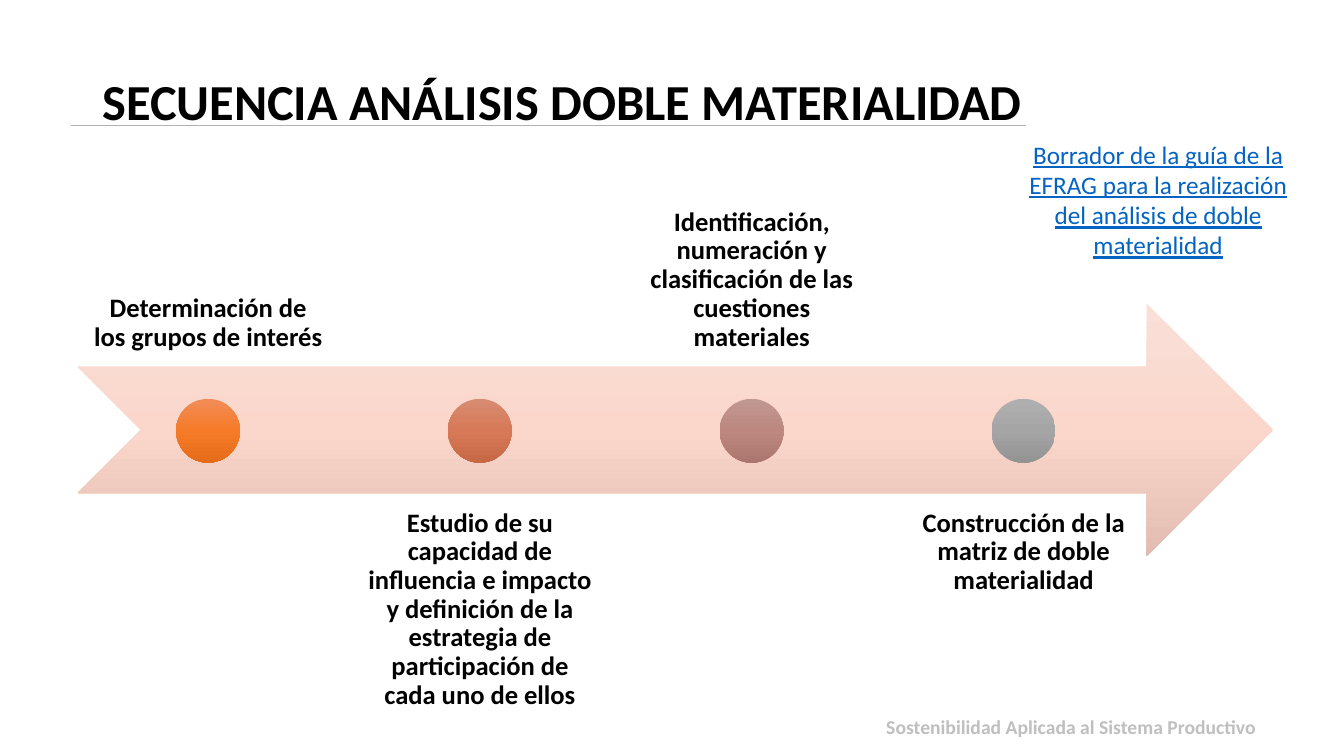
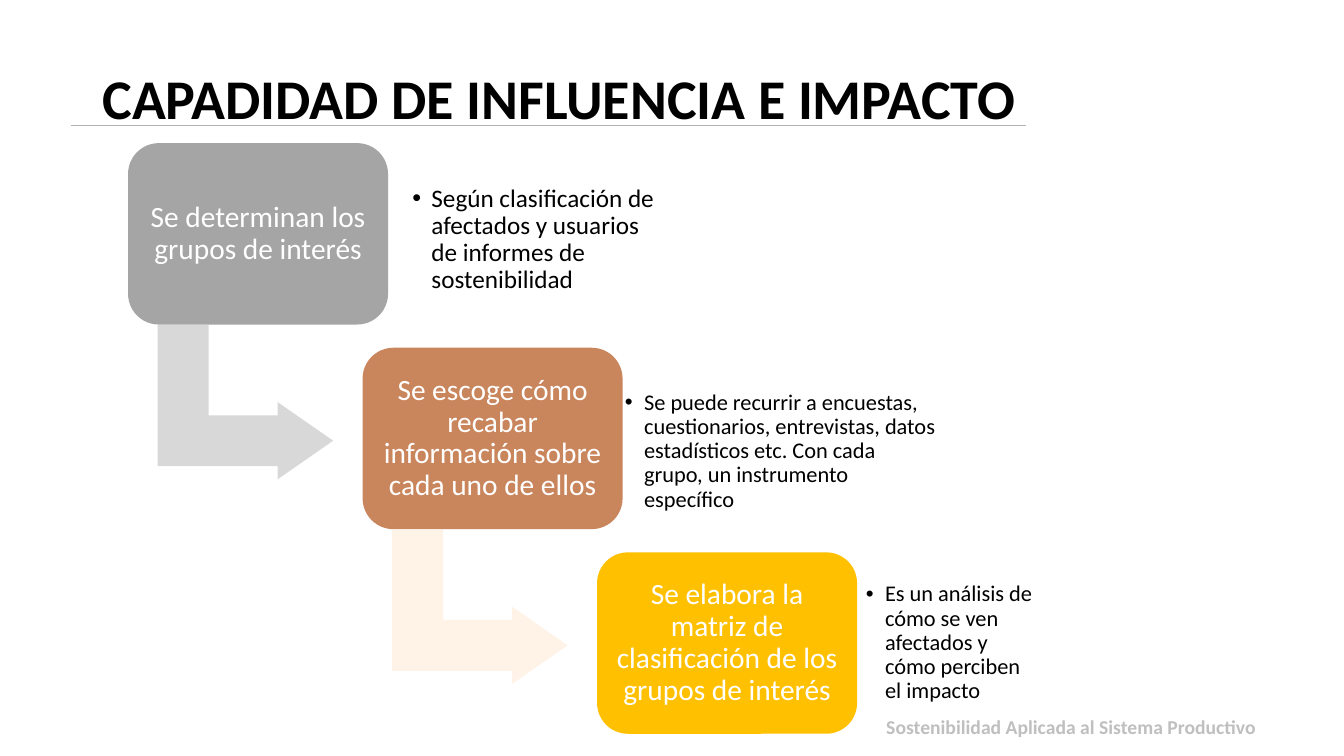
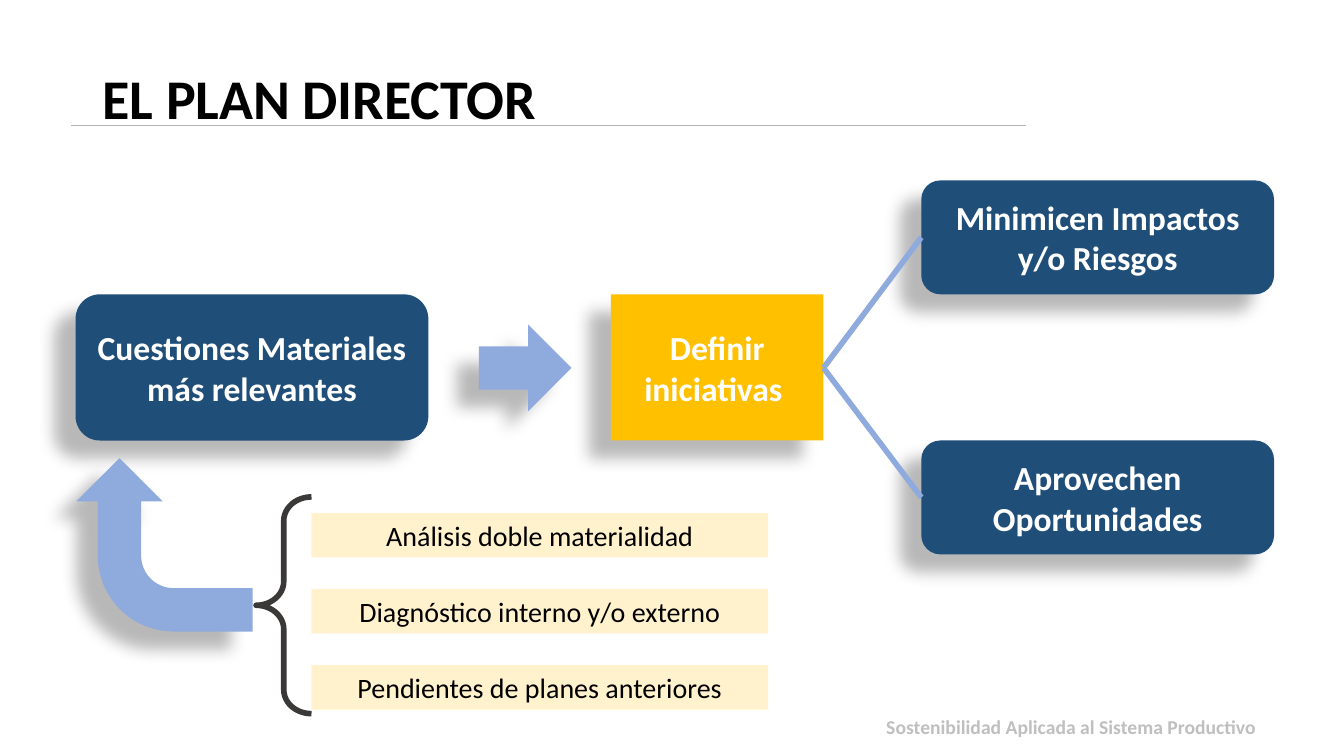
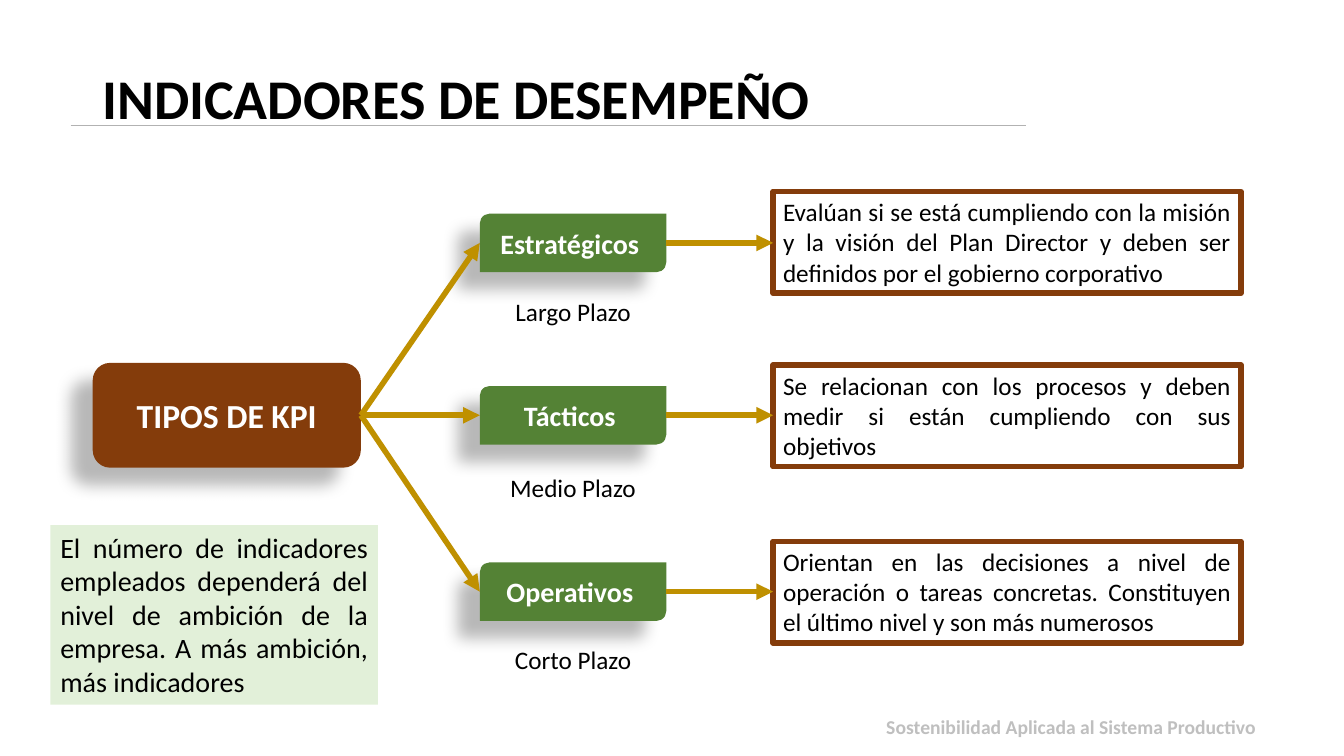
"""Builds four slides on double materiality, the master plan and its indicators."""
from copy import deepcopy

from lxml import etree
from pptx import Presentation
from pptx import util as u
from pptx.dml import color
from pptx.enum import shapes, text
from pptx.oxml import ns

COLUMNS, ROWS = 80, 45
CELL = u.Inches(7.5) // ROWS
TITLE_ONLY, COMPARISON = 5, 4
KIND = shapes.MSO_SHAPE
ALIGN = text.PP_ALIGN
ANCHOR = text.MSO_ANCHOR

COLOURS = {
    "black": "000000", "white": "FFFFFF", "rule": "B2B2B2", "footer": "BFBFBF",
    "link": "0563C1", "navy": "1F4E79", "sky": "8FAADC", "yellow": "FFC000",
    "cream": "FFF2CC", "brace": "3B3838", "brown": "843C0B", "green": "548235",
    "ochre": "BF9000", "mint": "E2F0D9", "grey": "A5A5A5", "pale grey": "D8D8D8",
    "copper": "C9855C", "pale copper": "FFF2E7",
    "arrow top": "FAE0D8", "arrow mid": "FAD6CB", "arrow low": "E2BCB1",
    "orange top": "F18C57", "orange mid": "F67B28", "orange low": "E56C19",
    "coral top": "D78B72", "coral mid": "D77956", "coral low": "C66846",
    "mauve top": "C19791", "mauve mid": "BC8880", "mauve low": "AA766E",
    "steel top": "AFAFAF", "steel mid": "A5A5A5", "steel low": "939393",
}


def cells(count):
    """Turns a number of grid cells into a length."""
    return u.Emu(round(count * CELL))


def rgb(name):
    """Looks up a named colour."""
    return color.RGBColor.from_string(COLOURS[name])


def assign(target, values):
    """Sets every attribute given in a dict."""
    for name, value in values.items():
        setattr(target, name, value)


class Sheet:
    """Holds the deck, its style and the current slide."""

    FONT = "Calibri"
    TITLE_AT = (5.5, 3.5, 60.35, 8.7)
    RULE = ((4.2, 7.44), (61.08, 7.44))
    FOOTER_AT = (44.16, 42.42, 31.2, 2.58)
    FOOTER = "Sostenibilidad Aplicada al Sistema Productivo"
    SHADOW = {"blurRad": "149860", "dist": "250190", "dir": "8460000",
              "algn": "tr", "rotWithShape": "0"}

    def __init__(self):
        """Starts an empty deck with a wide page."""
        self.deck = Presentation()
        assign(self.deck, {"slide_width": cells(COLUMNS), "slide_height": cells(ROWS)})
        self.page = None

    def start(self, title, size=40, layout=TITLE_ONLY):
        """Adds a slide with title, rule and footer."""
        self.page = self.deck.slides.add_slide(self.deck.slide_layouts[layout])
        box = self.page.shapes.title
        self.place(box, self.TITLE_AT)
        self.set_text(box, title, size, bold=True, align=ALIGN.LEFT,
                      anchor=ANCHOR.BOTTOM, spacing=0.9)
        box.text_frame.margin_bottom = cells(self.TITLE_AT[3] / 2)
        self.line(*self.RULE, "rule", 0.5)
        self.label(self.FOOTER_AT, self.FOOTER, 14, ink="footer", bold=True,
                   align=ALIGN.RIGHT, spacing=0.9)

    def place(self, box, at):
        """Moves a shape to its grid position."""
        assign(box, dict(zip(("left", "top", "width", "height"), map(cells, at))))

    def set_text(self, box, words, size, ink="black", bold=False, underline=None,
                 align=ALIGN.CENTER, anchor=ANCHOR.MIDDLE, spacing=1.0, inset=None,
                 bullet=False):
        """Fills a shape with one formatted paragraph."""
        frame = box.text_frame
        assign(frame, {"word_wrap": True, "auto_size": text.MSO_AUTO_SIZE.NONE,
                       "vertical_anchor": anchor})
        if inset is not None:
            assign(frame, {f"margin_{side}": cells(inset)
                           for side in ("left", "top", "right", "bottom")})
        para = frame.paragraphs[0]
        span = para.add_run()
        span.text = words
        assign(para, {"alignment": align, "line_spacing": spacing, "space_before": u.Pt(0)})
        if bullet:
            props = para._p.get_or_add_pPr()
            hang = cells(1.14)
            props.set("marL", str(hang))
            props.set("indent", str(-hang))
            etree.SubElement(props, ns.qn("a:buFont"), typeface="Arial")
            etree.SubElement(props, ns.qn("a:buChar"), char="•")
        assign(span.font, {"name": self.FONT, "size": u.Pt(size), "bold": bold,
                           "underline": underline})
        span.font.color.rgb = rgb(ink)

    def label(self, at, words, size, anchor=ANCHOR.TOP, **style):
        """Adds a text box."""
        box = self.page.shapes.add_textbox(*map(cells, at))
        self.set_text(box, words, size, anchor=anchor, **style)

    def bullet(self, index, at, words, size, inset):
        """Puts a bulleted text in a body placeholder."""
        box = self.page.placeholders[index]
        self.place(box, at)
        self.set_text(box, words, size, align=ALIGN.LEFT, spacing=0.9, inset=inset,
                      bullet=True)

    def drop_empty(self):
        """Removes the placeholders left empty."""
        for box in list(self.page.placeholders):
            if not box.text_frame.text:
                box._element.getparent().remove(box._element)

    def shape(self, kind, at, fill=None, line=None, turn=0, adjust=(), shadow=False):
        """Adds a preset shape with flat fill, or none."""
        box = self.page.shapes.add_shape(kind, *map(cells, at))
        box.rotation = turn
        for index, value in enumerate(adjust):
            box.adjustments[index] = value
        if fill:
            box.fill.solid()
            box.fill.fore_color.rgb = rgb(fill)
        else:
            box.fill.background()
        if line:
            box.line.color.rgb = rgb(line)
            box.line.width = u.Pt(4)
        else:
            box.line.fill.background()
        box.shadow.inherit = False
        if shadow:
            effects = box._element.spPr.find(ns.qn("a:effectLst"))
            outer = etree.SubElement(effects, ns.qn("a:outerShdw"), **self.SHADOW)
            tone = etree.SubElement(outer, ns.qn("a:srgbClr"), val=COLOURS["black"])
            etree.SubElement(tone, ns.qn("a:alpha"), val="28000")
        return box

    def shaded(self, kind, at, tone):
        """Adds a shape with a three-step vertical gradient."""
        box = self.shape(kind, at)
        box.fill.gradient()
        box.fill.gradient_angle = 270
        stops = box._element.spPr.find(".//" + ns.qn("a:gsLst"))
        stops.insert(1, deepcopy(stops[0]))
        for stop, position, step in zip(box.fill.gradient_stops, (0, 0.5, 1),
                                        ("top", "mid", "low")):
            stop.color.rgb = rgb(f"{tone} {step}")
            stop.position = position

    def card(self, kind, at, fill, words, size=24):
        """Adds a shadowed shape with bold white text."""
        box = self.shape(kind, at, fill, shadow=True)
        self.set_text(box, words, size, ink="white", bold=True)

    def panel(self, at, words, size, fill=None, line=None, align=ALIGN.CENTER):
        """Adds a flat rectangle with dark text."""
        box = self.shape(KIND.RECTANGLE, at, fill, line)
        self.set_text(box, words, size, align=align, anchor=ANCHOR.TOP)

    def line(self, start, end, ink, width=4, arrow=False):
        """Adds a straight line, with an arrowhead if asked."""
        link = self.page.shapes.add_connector(
            shapes.MSO_CONNECTOR.STRAIGHT, *map(cells, (*start, *end)))
        link.line.color.rgb = rgb(ink)
        link.line.width = u.Pt(width)
        props = link._element.spPr
        if arrow:
            etree.SubElement(props.find(ns.qn("a:ln")), ns.qn("a:tailEnd"), type="triangle")
        etree.SubElement(props, ns.qn("a:effectLst"))


def sequence(sheet):
    """Draws the timeline of the analysis."""
    sheet.start("SECUENCIA ANÁLISIS DOBLE MATERIALIDAD", 36)
    sheet.shaded(KIND.NOTCHED_RIGHT_ARROW, (4.62, 18.06, 71.16, 15.06), "arrow")
    stages = (
        ("orange", "Determinación de los grupos de interés"),
        ("coral", "Estudio de su capacidad de influencia e impacto y definición de la "
                  "estrategia de participación de cada uno de ellos"),
        ("mauve", "Identificación, numeración y clasificación de las cuestiones materiales"),
        ("steel", "Construcción de la matriz de doble materialidad"),
    )
    for index, (tone, words) in enumerate(stages):
        shift = 16.18 * index
        top, anchor = ((6.78, ANCHOR.BOTTOM), (29.4, ANCHOR.TOP))[index % 2]
        sheet.label((4.68 + shift, top, 15.42, 15.06), words, 19, bold=True,
                    anchor=anchor, spacing=0.9, inset=0.9)
        sheet.shaded(KIND.OVAL, (10.48 + shift, 23.74, 3.8, 3.8), tone)
    sheet.label((59.76, 7.98, 18.36, 7.86),
                "Borrador de la guía de la EFRAG para la realización del análisis de "
                "doble materialidad", 18, ink="link", underline=True)


def influence(sheet):
    """Draws the descending steps with their remarks."""
    sheet.start("CAPADIDAD DE INFLUENCIA E IMPACTO", layout=COMPARISON)
    steps = (
        ("grey", "pale grey", "Se determinan los grupos de interés",
         (24.12, 9.9, 15.96, 8.76), 18, 0.42,
         "Según clasificación de afectados y usuarios de informes de sostenibilidad"),
        ("copper", "pale copper", "Se escoge cómo recabar información sobre cada uno de ellos",
         (36.78, 22.5, 19.32, 8.76), 16, 0.42,
         "Se puede recurrir a encuestas, cuestionarios, entrevistas, datos estadísticos etc. "
         "Con cada grupo, un instrumento específico"),
        ("yellow", None, "Se elabora la matriz de clasificación de los grupos de interés",
         (51, 33.9, 11.22, 8.76), 16, 0.54,
         "Es un análisis de cómo se ven afectados y cómo perciben el impacto"),
    )
    for index, (fill, pale, words, at, size, inset, remark) in enumerate(steps):
        right, down = 13.96 * index, 12.18 * index
        if pale:
            sheet.shape(KIND.BENT_UP_ARROW, (10.02 + right, 18.72 + down, 9.18, 10.44), pale,
                        turn=90, adjust=(0.33, 0.25, 0.36))
        box = sheet.shape(KIND.ROUNDED_RECTANGLE, (7.62 + right, 8.52 + down, 15.48, 10.8),
                          fill, adjust=(0.17,))
        sheet.set_text(box, words, 21, ink="white", spacing=0.9, inset=0.54)
        sheet.bullet(index + 1, at, remark, size, inset)
    sheet.drop_empty()


def plan(sheet):
    """Draws the flow of the master plan."""
    sheet.start("EL PLAN DIRECTOR")
    sheet.card(KIND.ROUNDED_RECTANGLE, (4.5, 17.52, 21, 8.7), "navy",
               "Cuestiones Materiales más relevantes")
    sheet.shape(KIND.DOWN_ARROW, (28.68, 19.14, 5.16, 5.52), "sky", turn=270, shadow=True)
    sheet.card(KIND.RECTANGLE, (36.36, 17.52, 12.66, 8.7), "yellow", "Definir iniciativas ")
    outcomes = ((10.74, "Minimicen Impactos y/o Riesgos"), (26.22, "Aprovechen Oportunidades"))
    for top, words in outcomes:
        sheet.card(KIND.ROUNDED_RECTANGLE, (54.84, top, 21, 6.78), "navy", words)
        sheet.line((49.02, 21.9), (54.84, top + 3.39), "sky")
    sheet.shape(KIND.BENT_ARROW, (4.62, 27.18, 10.32, 10.5), "sky", turn=270, shadow=True)
    sheet.shape(KIND.LEFT_BRACE, (15.24, 29.58, 3.3, 12.9), line="brace", adjust=(0.43, 0.5))
    sources = ("Análisis doble materialidad", "Diagnóstico interno y/o externo",
               "Pendientes de planes anteriores")
    for index, words in enumerate(sources):
        sheet.panel((18.54, 30.54 + 4.53 * index, 27.18, 2.64), words, 20, "cream")


def indicators(sheet):
    """Draws the tree of indicator types."""
    sheet.start("INDICADORES DE DESEMPEÑO")
    sheet.card(KIND.ROUNDED_RECTANGLE, (5.52, 21.6, 15.96, 6.24), "brown", "TIPOS DE KPI")
    levels = (
        (12.72, "Estratégicos ", 17.34, "Largo Plazo", 11.4,
         "Evalúan si se está cumpliendo con la misión y la visión del Plan Director y deben "
         "ser definidos por el gobierno corporativo"),
        (22.98, "Tácticos ", 27.84, "Medio Plazo", 21.72,
         "Se relacionan con los procesos y deben medir si están cumpliendo con sus objetivos"),
        (33.48, "Operativos ", 38.04, "Corto Plazo", 32.22,
         "Orientan en las decisiones a nivel de operación o tareas concretas. Constituyen el "
         "último nivel y son más numerosos"),
    )
    for top, name, term_top, term, role_top, role in levels:
        middle = top + 1.74
        sheet.card(KIND.ROUND_2_DIAG_RECTANGLE, (28.56, top, 11.1, 3.48), "green", name, 20)
        sheet.label((28.56, term_top, 11.1, 2.4), term, 18)
        sheet.panel((46.02, role_top, 27.84, 6.06), role, 18, line="brown", align=ALIGN.JUSTIFY)
        sheet.line((21.48, 24.72), (28.56, middle), "ochre", arrow=True)
        sheet.line((39.66, middle), (46.02, middle), "ochre", arrow=True)
    sheet.panel((3, 31.26, 19.5, 10.68),
                "El número de indicadores empleados dependerá del nivel de ambición de la "
                "empresa. A más ambición, más indicadores", 20, "mint", align=ALIGN.JUSTIFY)


def main():
    """Builds and saves the deck."""
    sheet = Sheet()
    for draw in (sequence, influence, plan, indicators):
        draw(sheet)
    sheet.deck.save("out.pptx")


if __name__ == "__main__":
    main()
